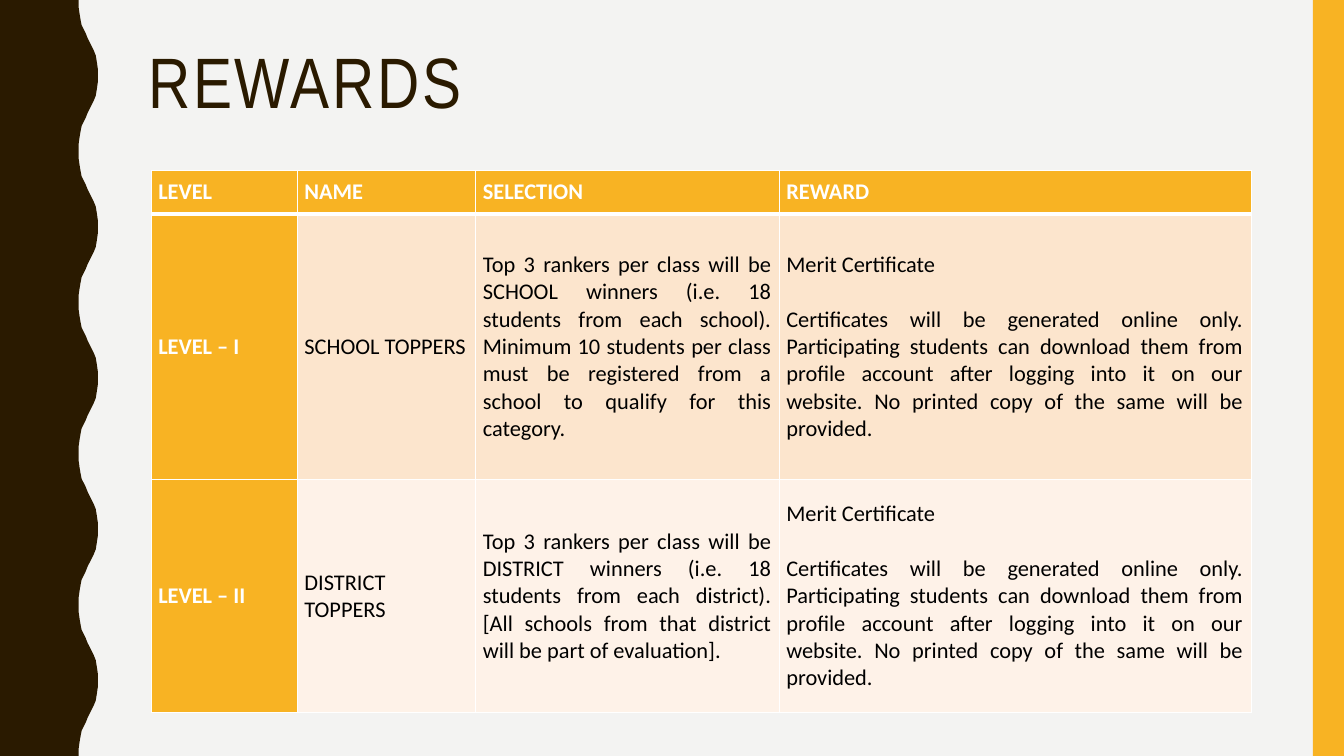
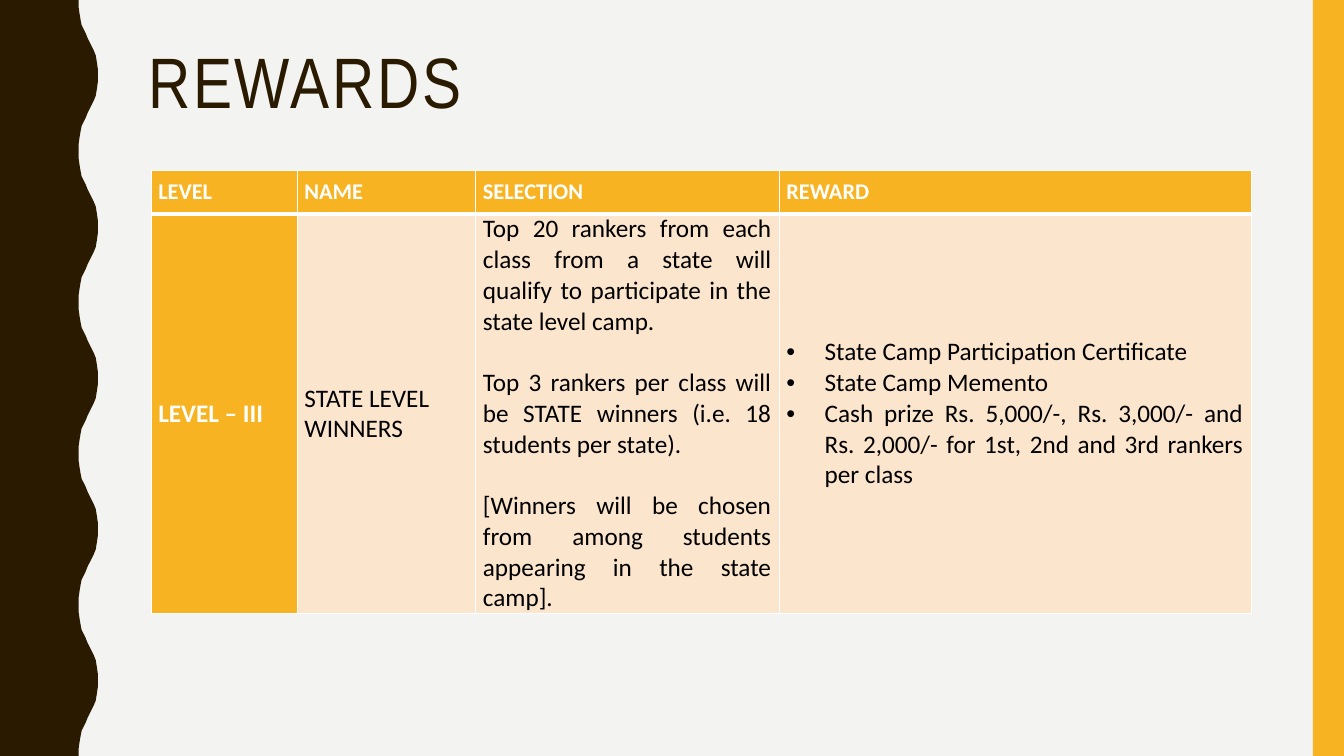
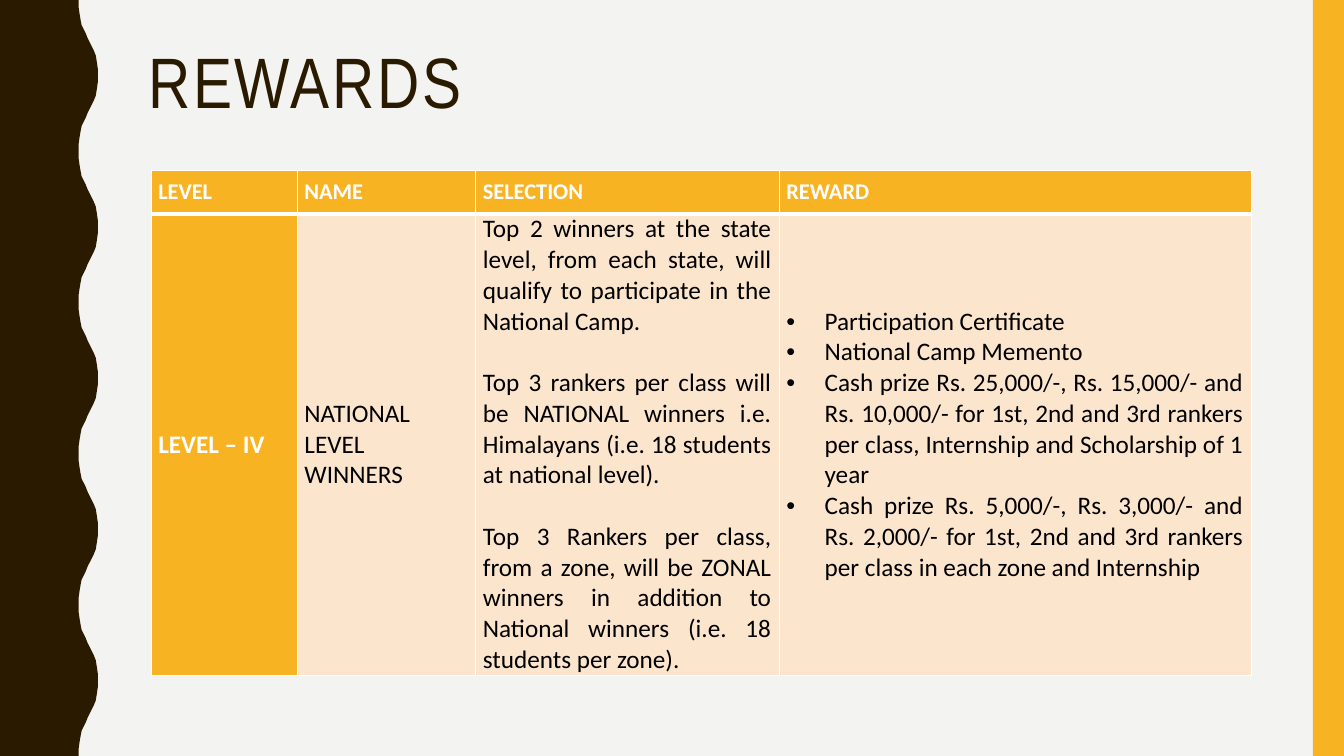
"""Builds three slides of reward tables for the levels of a school contest."""
from lxml import etree
from pptx import Presentation
from pptx import util as u
from pptx.dml.color import RGBColor
from pptx.enum import shapes, text
from pptx.oxml import ns

COLORS = {
    "background": "F3F3F2",
    "brown": "2A1A00",
    "gold": "F8B323",
    "peach": "FCE5CD",
    "cream": "FEF2E8",
    "white": "FFFFFF",
    "black": "000000",
}
HEADER = ("LEVEL", "NAME", "SELECTION", "REWARD")
COLUMN_WIDTHS = (1.45, 1.77, 3.01, 4.68)
HEADER_HEIGHT = 0.43
HEADER_SIZE = 16
LINE_HEIGHT = 1.22
BULLET_INDENT = u.Inches(0.38)

WAVE_PERIOD = 1.5
WAVE_RISE = [
    (0.78, 0), (0.78, 0.07), (0.79, 0.14), (0.8, 0.2), (0.81, 0.25),
    (0.83, 0.29), (0.85, 0.33), (0.87, 0.38), (0.89, 0.42), (0.91, 0.46),
    (0.93, 0.5), (0.95, 0.55), (0.96, 0.61), (0.97, 0.68), (0.97, 0.75),
]
WAVE_FALL = [(x, WAVE_PERIOD - y) for x, y in reversed(WAVE_RISE[1:-1])]
wave = [(x, y + crest * WAVE_PERIOD) for crest in range(5) for x, y in WAVE_RISE + WAVE_FALL]
wave += [(0.78, 7.5), (0, 7.5)]

CERTIFICATE = [
    "Merit Certificate",
    "Certificates will be generated online only. Participating students can download them "
    "from profile account after logging into it on our website. No printed copy of the same "
    "will be provided.",
]
REWARD_SLIDES = [
    {
        "size": 16, "bullets": False, "heights": (2.64, 2.31),
        "levels": [
            (["LEVEL – I"], ["SCHOOL TOPPERS"], [
                "Top 3 rankers per class will be SCHOOL winners (i.e. 18 students from each "
                "school). Minimum 10 students per class must be registered from a school to "
                "qualify for this category.",
            ], CERTIFICATE),
            (["LEVEL – II"], ["DISTRICT TOPPERS"], [
                "Top 3 rankers per class will be DISTRICT winners (i.e. 18 students from each "
                "district). [All schools from that district will be part of evaluation].",
            ], CERTIFICATE),
        ],
    },
    {
        "size": 18, "bullets": True, "heights": (3.97,),
        "levels": [
            (["LEVEL – III"], ["STATE LEVEL WINNERS"], [
                "Top 20 rankers from each class from a state will qualify to participate in the "
                "state level camp.",
                "Top 3 rankers per class will be STATE winners (i.e. 18 students per state).",
                "[Winners will be chosen from among students appearing in the state camp].",
            ], [
                "State Camp Participation Certificate",
                "State Camp Memento",
                "Cash prize Rs. 5,000/-, Rs. 3,000/- and Rs. 2,000/- for 1st, 2nd and 3rd "
                "rankers per class",
            ]),
        ],
    },
    {
        "size": 18, "bullets": True, "heights": (4.58,),
        "levels": [
            (["LEVEL – IV"], ["NATIONAL LEVEL WINNERS"], [
                "Top 2 winners at the state level, from each state, will qualify to participate "
                "in the National Camp.",
                "Top 3 rankers per class will be NATIONAL winners i.e. Himalayans (i.e. 18 "
                "students at national level).",
                "Top 3 Rankers per class, from a zone, will be ZONAL winners in addition to "
                "National winners (i.e. 18 students per zone).",
            ], [
                "Participation Certificate",
                "National Camp Memento",
                "Cash prize Rs. 25,000/-, Rs. 15,000/- and Rs. 10,000/- for 1st, 2nd and 3rd "
                "rankers per class, Internship and Scholarship of 1 year",
                "Cash prize Rs. 5,000/-, Rs. 3,000/- and Rs. 2,000/- for 1st, 2nd and 3rd "
                "rankers per class in each zone and Internship",
            ]),
        ],
    },
]


def paint(fill, color):
    fill.solid()
    fill.fore_color.rgb = RGBColor.from_string(COLORS[color])


def fill_cell(cell, paragraphs, size, fill, ink, justified, bulleted, bottom_width):
    properties = cell._tc.get_or_add_tcPr()
    for side in "LRTB":
        width = bottom_width if side == "B" else 1
        line = etree.SubElement(properties, ns.qn(f"a:ln{side}"), w=str(u.Pt(width)))
        solid = etree.SubElement(line, ns.qn("a:solidFill"))
        etree.SubElement(solid, ns.qn("a:srgbClr"), val=COLORS["white"])
    paint(cell.fill, fill)
    cell.margin_left = u.Inches(0.07)
    cell.margin_right = u.Inches(0.08)
    cell.margin_top = cell.margin_bottom = 0
    cell.vertical_anchor = text.MSO_ANCHOR.MIDDLE
    cell.text = "\n".join(paragraphs)
    for index, paragraph in enumerate(cell.text_frame.paragraphs):
        if bulleted:
            bullet = paragraph._p.get_or_add_pPr()
            bullet.set("marL", str(BULLET_INDENT))
            bullet.set("indent", str(-BULLET_INDENT))
            etree.SubElement(bullet, ns.qn("a:buFont"), typeface="Arial")
            etree.SubElement(bullet, ns.qn("a:buChar"), char="•")
        elif index:
            paragraph.space_before = u.Pt(round(size * LINE_HEIGHT, 1))
        paragraph.alignment = text.PP_ALIGN.JUSTIFY if justified else text.PP_ALIGN.LEFT
        paragraph.font.name = "Calibri"
        paragraph.font.size = u.Pt(size)
        paragraph.font.bold = ink == "white"
        paragraph.font.color.rgb = RGBColor.from_string(COLORS[ink])


presentation = Presentation()
presentation.slide_width = u.Inches(13.33)
presentation.slide_height = u.Inches(7.5)
paint(presentation.slide_master.background.fill, "background")

for reward_slide in REWARD_SLIDES:
    slide = presentation.slides.add_slide(presentation.slide_layouts[6])

    outline = slide.shapes.build_freeform(0, 0)
    outline.add_line_segments([(u.Inches(x), u.Inches(y)) for x, y in wave], close=True)
    wavy_band = outline.convert_to_shape()
    gold_band = slide.shapes.add_shape(
        shapes.MSO_SHAPE.RECTANGLE, u.Inches(13.02), 0, u.Inches(0.31), u.Inches(7.5))
    for band, color in ((wavy_band, "brown"), (gold_band, "gold")):
        paint(band.fill, color)
        band.line.fill.background()
        band.shadow.inherit = False

    title = slide.shapes.add_textbox(
        u.Inches(1.37), u.Inches(0.42), u.Inches(11.13), u.Inches(0.91))
    title.text_frame.word_wrap = True
    title.text_frame.vertical_anchor = text.MSO_ANCHOR.TOP
    paragraph = title.text_frame.paragraphs[0]
    paragraph.text = "REWARDS"
    paragraph.line_spacing = 0.9
    paragraph.font.name = "Arial Narrow"
    paragraph.font.size = u.Pt(51)
    paragraph.font.color.rgb = RGBColor.from_string(COLORS["brown"])
    paragraph.runs[0]._r.get_or_add_rPr().set("spc", "200")

    heights = (HEADER_HEIGHT, *reward_slide["heights"])
    table = slide.shapes.add_table(
        len(heights), len(HEADER), u.Inches(1.5), u.Inches(1.69),
        u.Inches(sum(COLUMN_WIDTHS)), u.Inches(sum(heights))).table
    for column, width in zip(table.columns, COLUMN_WIDTHS):
        column.width = u.Inches(width)
    for row, height in zip(table.rows, heights):
        row.height = u.Inches(height)

    for column, heading in enumerate(HEADER):
        fill_cell(table.cell(0, column), [heading], HEADER_SIZE, "gold", "white",
                  heading == "SELECTION", False, 3)
    for row, level in enumerate(reward_slide["levels"], start=1):
        row_fill = "peach" if row % 2 else "cream"
        for column, paragraphs in enumerate(level):
            fill, ink = (row_fill, "black") if column else ("gold", "white")
            bulleted = reward_slide["bullets"] and HEADER[column] == "REWARD"
            fill_cell(table.cell(row, column), paragraphs, reward_slide["size"], fill, ink,
                      column >= 2, bulleted, 1)

presentation.save("out.pptx")
